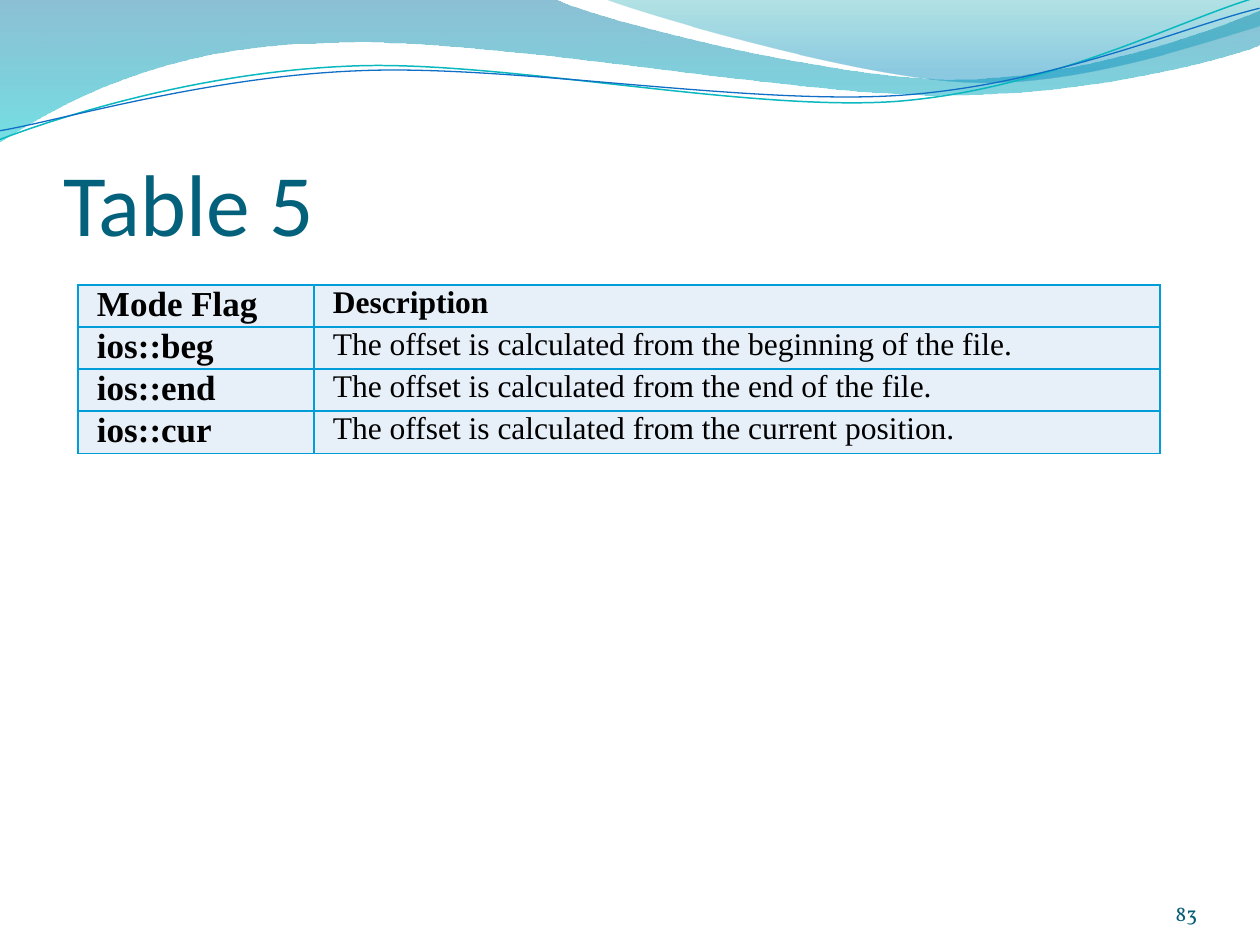
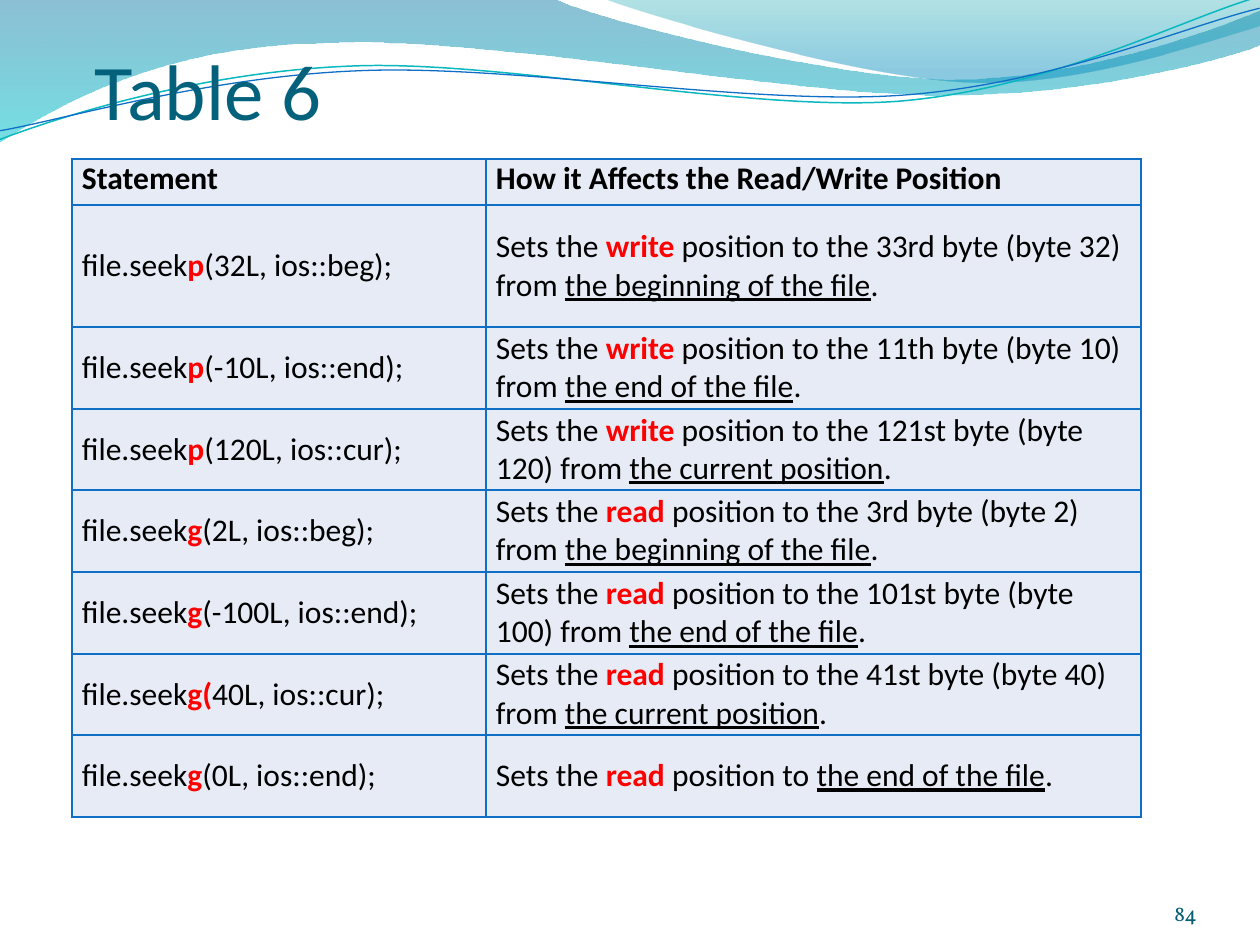
import dataclasses

import lxml.etree
import pptx
import pptx.dml.color
import pptx.enum.text
import pptx.oxml.ns
import pptx.util

EMU_PER_PX = 914400 / 126
qn = pptx.oxml.ns.qn
rgb = pptx.dml.color.RGBColor.from_string
Pt = pptx.util.Pt
ANCHOR = pptx.enum.text.MSO_ANCHOR


@dataclasses.dataclass(frozen=True)
class Theme:
    title_color: str = "04617B"
    number_color: str = "045D75"
    text_color: str = "000000"
    key_color: str = "FF0000"
    title_font: str = "Calibri"
    number_font: str = "Vollkorn"
    number_size: int = 12
    border_width: int = 1


THEME = Theme()


def px(length):
    return pptx.util.Emu(round(length * EMU_PER_PX))


def draw_wave(shapes, start, segments, closed):
    """Draw straight (one point) and cubic Bézier (three points) segments."""
    builder = shapes.build_freeform(px(start[0]), px(start[1]))
    builder.add_line_segments([(px(x), px(y)) for segment in segments for x, y in segment],
                              close=closed)
    wave = builder.convert_to_shape()
    wave.shadow.inherit = False
    steps = iter(list(wave.element.iter(qn("a:lnTo"))))
    for segment in segments:
        first, *others = [next(steps) for point in segment]
        if others:
            first.tag = qn("a:cubicBezTo")
            for step in others:
                first.append(step[0])
                step.getparent().remove(step)
    return wave


# Wave bands: start, segments, gradient stops (position, colour, opacity %)
bands = [
    ((0, 0),
     [[(554, -1)],
      [(600, 21), (837, 79), (955, 79)],
      [(1075, 79), (1207, 33), (1260, 11)],
      [(1261, 45)],
      [(1238, 55), (1096, 96), (940, 95)],
      [(784, 95), (481, 35), (324, 43)],
      [(163, 45), (58, 105), (-1, 142)]],
     [(0, "0074A1", 45), (1, "00C6CF", 55)]),
    ((604, -1),
     [[(641, 14), (859, 78), (969, 82)],
      [(1079, 87), (1211, 40), (1260, 26)],
      [(1260, 0)]],
     [(0, "00A1A9", 30), (0.8, "008BBF", 45)]),
]
# Wave lines before their slight turn: start, segments, colour, width
strands = [
    ((-3, 110),
     [[(58, 90), (199, 52), (350, 53)],
      [(499, 53), (745, 118), (896, 114)],
      [(1049, 109), (1184, 45), (1260, 27)]],
     "0AB8BF", 0.85),
    ((-2, 101),
     [[(57, 94), (207, 57), (357, 58)],
      [(509, 58), (750, 112), (902, 108)],
      [(1053, 104), (1188, 52), (1262, 38)]],
     "0F6FC6", 0.75),
]
STRAND_TURN = 357.3

# Every cell is a list of (text, style) runs
offset_rows = [[[("Mode Flag", "bold")], [("Description", "bold")]]]
for flag, origin in [
    ("beg", "the beginning of the file"),
    ("end", "the end of the file"),
    ("cur", "the current position"),
]:
    offset_rows.append([[(f"ios::{flag}", "bold")],
                        [(f"The offset is calculated from {origin}.", "plain")]])

seek_rows = [[[("Statement", "bold")],
              [("How it Affects the Read/Write Position", "bold")]]]
for key, arguments, target, origin in [
    ("p", "(32L, ios::beg);", "the 33rd byte (byte 32) from ", "the beginning of the file"),
    ("p", "(-10L, ios::end);", "the 11th byte (byte 10) from ", "the end of the file"),
    ("p", "(120L, ios::cur);", "the 121st byte (byte 120) from ", "the current position"),
    ("g", "(2L, ios::beg);", "the 3rd byte (byte 2) from ", "the beginning of the file"),
    ("g", "(-100L, ios::end);", "the 101st byte (byte 100) from ", "the end of the file"),
    ("g(", "40L, ios::cur);", "the 41st byte (byte 40) from ", "the current position"),
    ("g", "(0L, ios::end);", "", "the end of the file"),
]:
    action = "write" if key == "p" else "read"
    seek_rows.append([
        [("file.seek", "plain"), (key, "key"), (arguments, "plain")],
        [("Sets the ", "plain"), (action, "key"), (f" position to {target}", "plain"),
         (origin, "underline"), (".", "plain")],
    ])

pages = [
    dict(title="Table 5", title_box=(63, 97, 1134, 157), title_size=50, number="83",
         rows=offset_rows, corner=(78, 285), widths=(236, 846), heights=(39, 39, 39, 42),
         font="Times New Roman", sizes=(20, 18), margins=(19, 9),
         fill="E7EFF8", border="009DD9", body_anchor=ANCHOR.TOP),
    dict(title="Table 6", title_box=(95, 41, 1071, 95), title_size=45, number="84",
         rows=seek_rows, corner=(72, 159), widths=(414, 655),
         heights=(46, 122, *(82, 81, 82) * 2),
         font="Calibri", sizes=(18, 18), margins=(10, 6),
         fill="E7EBF5", border="0F6FC6", body_anchor=ANCHOR.MIDDLE),
]

deck = pptx.Presentation()
deck.slide_width, deck.slide_height = px(1260), px(945)
layout = deck.slide_layouts[5]
slides = [deck.slides.add_slide(layout) for page in pages]

# Shared waves: drawn once, then moved behind the layout's placeholders
waves = []
for start, segments, stops in bands:
    band = draw_wave(slides[0].shapes, start, segments, closed=True)
    band.line.fill.background()
    band.fill.gradient()
    band.fill.gradient_angle = 270
    for stop, (position, color, opacity) in zip(band.fill.gradient_stops, stops):
        stop.position = position
        stop.color.rgb = rgb(color)
    tints = band.element.spPr.iter(qn("a:srgbClr"))
    for tint, (position, color, opacity) in zip(tints, stops):
        lxml.etree.SubElement(tint, qn("a:alpha"), val=str(opacity * 1000))
    waves.append(band)
for start, segments, color, width in strands:
    strand = draw_wave(slides[0].shapes, start, segments, closed=False)
    strand.rotation = STRAND_TURN
    strand.fill.background()
    strand.line.color.rgb = rgb(color)
    strand.line.width = Pt(width)
    waves.append(strand)
for order, wave in enumerate(waves):
    wave.element.nvSpPr.cNvPr.set("id", str(100 + order))
    layout.shapes.element.insert(2 + order, wave.element)

for page, slide in zip(pages, slides):
    number = slide.shapes.add_textbox(px(1092), px(876), px(105), px(50)).text_frame
    number.word_wrap = True
    number.vertical_anchor = ANCHOR.BOTTOM
    number.margin_left = number.margin_right = number.margin_top = number.margin_bottom = 0
    number.text = page["number"]
    digits = number.paragraphs[0]
    digits.alignment = pptx.enum.text.PP_ALIGN.RIGHT
    digits.font.name = THEME.number_font
    digits.font.size = Pt(THEME.number_size)
    digits.font.color.rgb = rgb(THEME.number_color)

    title = slide.shapes.title
    title.left, title.top, title.width, title.height = map(px, page["title_box"])
    heading = title.text_frame
    heading.text = page["title"]
    heading.auto_size = pptx.enum.text.MSO_AUTO_SIZE.NONE
    heading.vertical_anchor = ANCHOR.BOTTOM
    heading.margin_left = heading.margin_right = heading.margin_bottom = 0
    heading.margin_top = px(6)
    caption = heading.paragraphs[0]
    caption.alignment = pptx.enum.text.PP_ALIGN.LEFT
    caption.font.name = THEME.title_font
    caption.font.size = Pt(page["title_size"])
    caption.font.color.rgb = rgb(THEME.title_color)

    rows, widths, heights = page["rows"], page["widths"], page["heights"]
    frame = slide.shapes.add_table(len(rows), len(widths), *map(px, page["corner"]),
                                   px(sum(widths)), px(sum(heights)))
    table = frame.table
    table.first_row = table.horz_banding = False
    for column, width in zip(table.columns, widths):
        column.width = px(width)
    for r, (row, height) in enumerate(zip(rows, heights)):
        table.rows[r].height = px(height)
        for c, runs in enumerate(row):
            cell = table.cell(r, c)
            cell.margin_left, cell.margin_right = map(px, page["margins"])
            cell.margin_top = cell.margin_bottom = 0
            cell.vertical_anchor = page["body_anchor"] if r else ANCHOR.TOP
            cell.fill.solid()
            cell.fill.fore_color.rgb = rgb(page["fill"])
            line = cell.text_frame.paragraphs[0]
            for text, style in runs:
                run = line.add_run()
                run.text = text
                run.font.name = page["font"]
                run.font.size = Pt(page["sizes"][c])
                run.font.bold = style in ("bold", "key")
                run.font.underline = style == "underline"
                run.font.color.rgb = rgb(THEME.key_color if style == "key"
                                         else THEME.text_color)

    for properties in frame.element.iter(qn("a:tcPr")):
        for order, side in enumerate(("a:lnL", "a:lnR", "a:lnT", "a:lnB")):
            edge = lxml.etree.Element(qn(side), w=str(Pt(THEME.border_width)))
            paint = lxml.etree.SubElement(edge, qn("a:solidFill"))
            lxml.etree.SubElement(paint, qn("a:srgbClr"), val=page["border"])
            properties.insert(order, edge)

deck.save("out.pptx")
